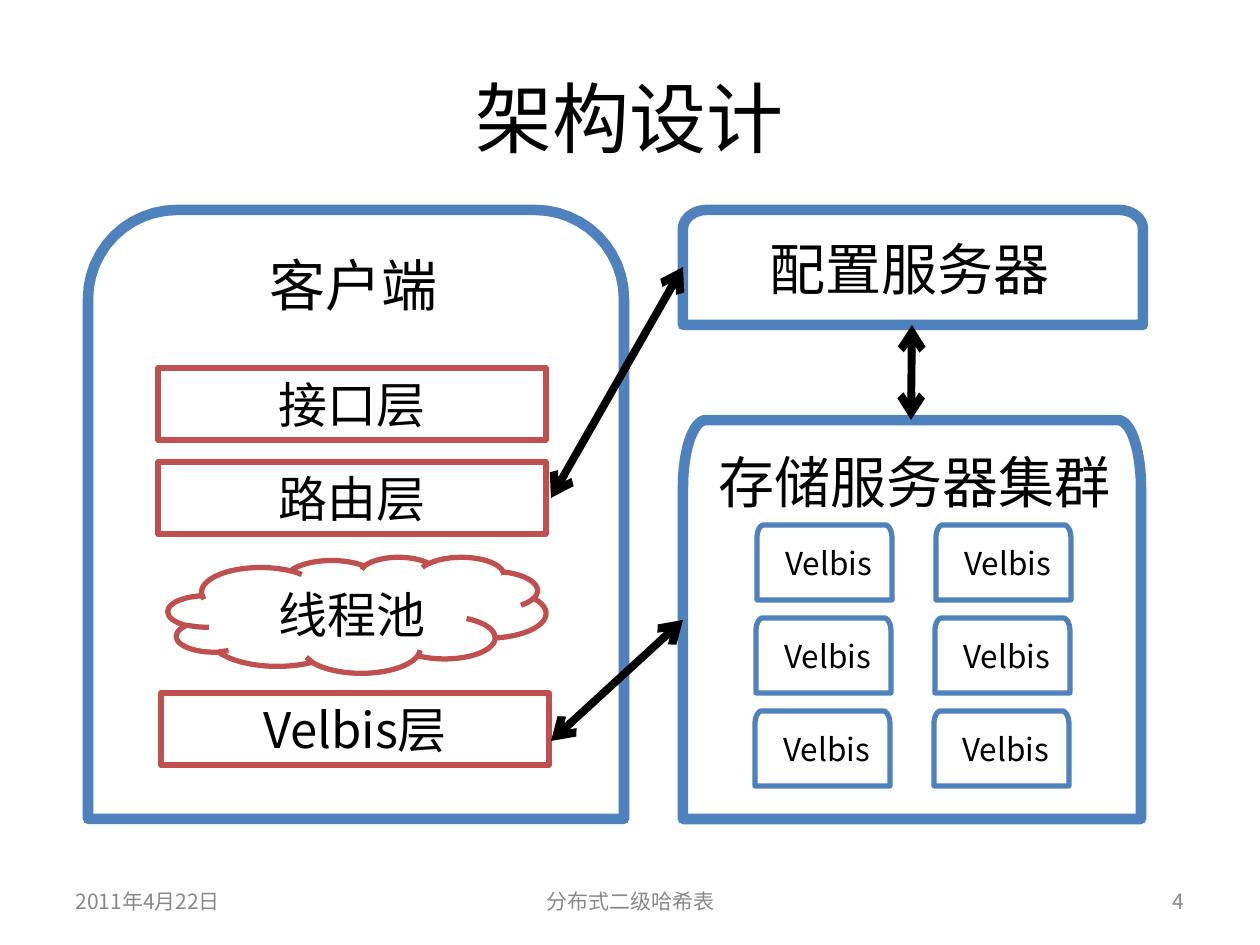
import math

from lxml import etree
from pptx import Presentation
from pptx import util as u
from pptx.dml.color import RGBColor
from pptx.enum import shapes, text
from pptx.oxml.ns import qn

PX = 914400 // 126
FONT = "Noto Sans CJK SC"
COLORS = {"ink": "000000", "paper": "FFFFFF", "server": "4F81BD",
          "layer": "C0504D", "footer": "898989"}
ALIGN = {"l": text.PP_ALIGN.LEFT, "c": text.PP_ALIGN.CENTER, "r": text.PP_ALIGN.RIGHT}

# Content: boxes are (left, top, width, height) in px
TITLE = ("架构设计", (63, 38, 1134, 158))
FOOTERS = [
    ("2011年4月22日", (63, 876, 294, 50), "l"),
    ("分布式二级哈希表", (431, 876, 399, 50), "c"),
    ("4", (903, 876, 294, 50), "r"),
]
# label, label box, outline box, corner radii
SERVERS = [
    ("客户端", (257, 244, 199, 81), (88, 210, 536, 609), (89, 89)),
    ("配置服务器", (757, 228, 417, 81), (683, 210, 460, 115), (24, 19)),
    ("存储服务器集群", (706, 441, 494, 81), (683, 420, 458, 399), (23, 67)),
]
LAYERS = [("接口层", 158, 368), ("路由层", 158, 462), ("Velbis层", 161, 693)]
LAYER_SIZE = (388, 72)
POOL = ("线程池", (158, 578, *LAYER_SIZE), (168, 557, 378, 116))
NODE = {"label": "Velbis", "left": 757, "top": 525, "col_step": 179,
        "row_step": 93, "row_shift": -1, "rows": 3, "cols": 2}
LINKS = [(683, 267, 551, 498), (683, 620, 551, 741), (912, 325, 911, 420)]

prs = Presentation()
prs.slide_width, prs.slide_height = u.Inches(10), u.Inches(7.5)
slide = prs.slides.add_slide(prs.slide_layouts[5])


def rgb(name):
    return RGBColor.from_string(COLORS[name])


def emu(values):
    return [value * PX for value in values]


def write(shape, words, size, align="l", color="ink"):
    frame = shape.text_frame
    frame.text = words
    frame.word_wrap = True
    frame.vertical_anchor = text.MSO_ANCHOR.MIDDLE
    paragraph = frame.paragraphs[0]
    paragraph.alignment = ALIGN[align]
    run = paragraph.runs[0]
    run.font.color.rgb = rgb(color)
    for key, value in {"size": u.Pt(size), "name": FONT}.items():
        setattr(run.font, key, value)
    etree.SubElement(run.font._element, qn("a:ea"), typeface=FONT)


def label(words, box, size, align="l", color="ink"):
    write(slide.shapes.add_textbox(*emu(box)), words, size, align, color)


def outline(shape, color, width):
    shape.shadow.inherit = False
    shape.fill.solid()
    shape.fill.fore_color.rgb = rgb("paper")
    shape.line.color.rgb = rgb(color)
    shape.line.width = u.Pt(width)
    return shape


def server(box, radii, width):
    """Box with elliptical top corners and square bottom corners."""
    left, top, w, h = box
    rx, ry = radii
    points = [(left, top + h)]
    for center, start in ((left + rx, 180), (left + w - rx, 270)):
        for step in range(13):
            angle = math.radians(start + step * 7.5)
            points.append((center + rx * math.cos(angle),
                           top + ry + ry * math.sin(angle)))
    points.append((left + w, top + h))
    points = [(round(x * PX), round(y * PX)) for x, y in points]
    builder = slide.shapes.build_freeform(*points[0])
    builder.add_line_segments(points[1:], close=True)
    outline(builder.convert_to_shape(), "server", width)


# Title and footer
heading = slide.shapes.title
heading.left, heading.top, heading.width, heading.height = emu(TITLE[1])
write(heading, TITLE[0], 44, "c")
for words, box, align in FOOTERS:
    label(words, box, 12, align, "footer")

# Client and servers
for words, label_box, box, radii in SERVERS:
    server(box, radii, 6)
    label(words, label_box, 32)

# Layers and thread pool of the client
for words, left, top in LAYERS:
    layer = slide.shapes.add_shape(shapes.MSO_SHAPE.RECTANGLE,
                                   *emu((left, top, *LAYER_SIZE)))
    write(outline(layer, "layer", 3), words, 28, "c")
words, label_box, box = POOL
outline(slide.shapes.add_shape(shapes.MSO_SHAPE.CLOUD, *emu(box)), "layer", 3)
label(words, label_box, 28, "c")

# Storage nodes
for row in range(NODE["rows"]):
    for col in range(NODE["cols"]):
        left = NODE["left"] + col * NODE["col_step"] + row * NODE["row_shift"]
        top = NODE["top"] + row * NODE["row_step"]
        server((left, top, 135, 75), (7, 13), 3)
        label(NODE["label"], (left + 16, top + 13, 113, 50), 18)

# Two-way links
for ends in LINKS:
    link = slide.shapes.add_connector(shapes.MSO_CONNECTOR.STRAIGHT, *emu(ends))
    link.line.color.rgb = rgb("ink")
    link.line.width = u.Pt(4.5)
    for end in ("a:headEnd", "a:tailEnd"):
        etree.SubElement(link.line._get_or_add_ln(), qn(end), type="arrow")
    etree.SubElement(link._element.spPr, qn("a:effectLst"))

prs.save("out.pptx")
